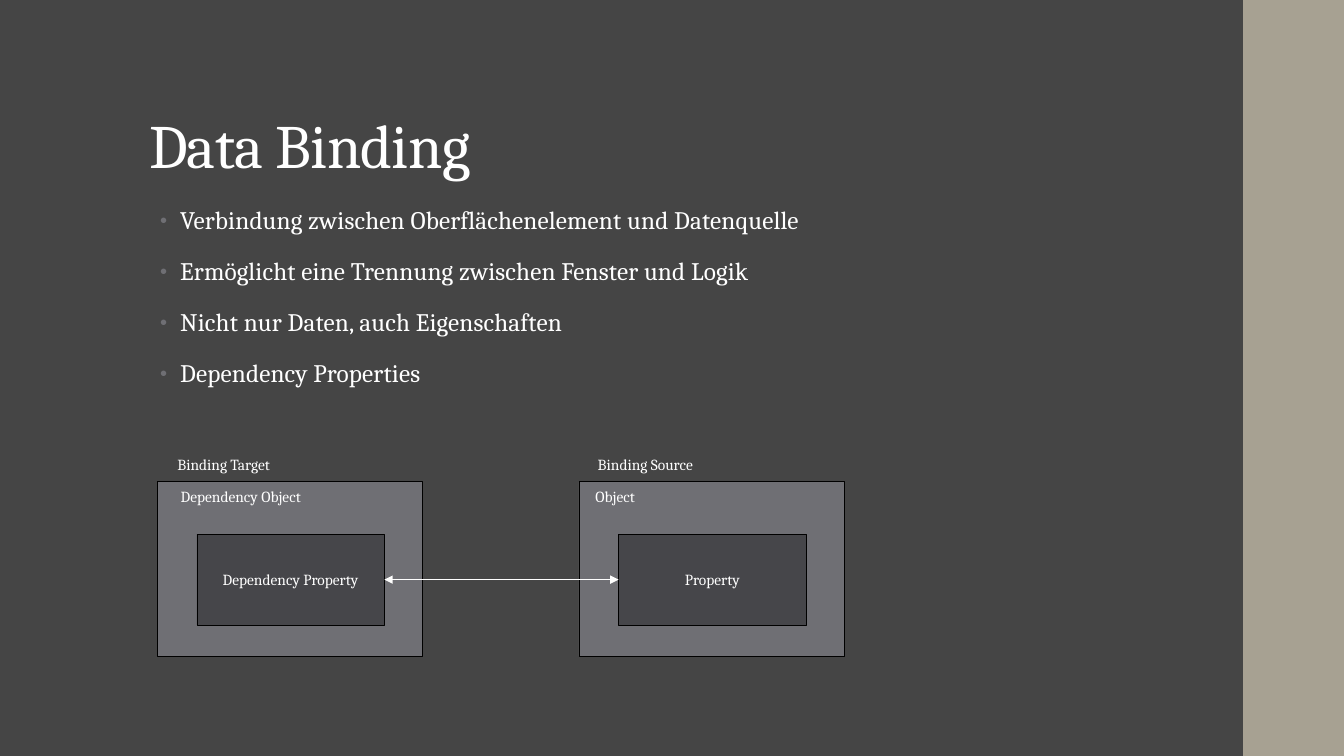
"""Builds a slide on data binding with a diagram of its target and source."""
from lxml import etree
from pptx import Presentation
from pptx.dml.color import RGBColor
from pptx.enum.shapes import MSO_CONNECTOR, MSO_SHAPE
from pptx.enum.text import MSO_ANCHOR, MSO_AUTO_SIZE, PP_ALIGN
from pptx.oxml.ns import qn
from pptx.util import Inches, Pt

RECTANGLE = MSO_SHAPE.RECTANGLE
STRAIGHT = MSO_CONNECTOR.STRAIGHT
LEFT, CENTER = PP_ALIGN.LEFT, PP_ALIGN.CENTER
TOP, MIDDLE, BOTTOM = MSO_ANCHOR.TOP, MSO_ANCHOR.MIDDLE, MSO_ANCHOR.BOTTOM
GROW = MSO_AUTO_SIZE.SHAPE_TO_FIT_TEXT
LEFT_SITE, RIGHT_SITE = 1, 3
COLUMNS, ROWS = 40, 30
COLORS = {
    "background": "454545",
    "stripe": "A7A192",
    "object": "6F6F74",
    "property": "46464A",
    "outline": "000000",
    "text": "FFFFFF",
}


def color(name):
    return RGBColor.from_string(COLORS[name])


def add_xml(parent, tag, **attributes):
    return etree.SubElement(parent, qn(tag), attributes)


class Page:
    """Holds the style and the current slide, measured in columns and rows."""

    font = "Cambria"

    def __init__(self, deck):
        self.slide = deck.slides.add_slide(deck.slide_layouts[6])
        self.column = deck.slide_width / COLUMNS
        self.row = deck.slide_height / ROWS
        fill = self.slide.background.fill
        fill.solid()
        fill.fore_color.rgb = color("background")

    def place(self, left, top, width, height):
        return (round(left * self.column), round(top * self.row),
                round(width * self.column), round(height * self.row))

    def add_span(self, para, text, size, align=LEFT, tracking=0):
        para.alignment = align
        span = para.add_run()
        span.text = text
        span.font.name = self.font
        span.font.size = Pt(size)
        span.font.color.rgb = color("text")
        if tracking:
            span._r.get_or_add_rPr().set("spc", str(tracking))

    def rectangle(self, area, fill, outline=None, text=None):
        box = self.slide.shapes.add_shape(RECTANGLE, *self.place(*area))
        box.shadow.inherit = False
        box.fill.solid()
        box.fill.fore_color.rgb = color(fill)
        if outline:
            box.line.color.rgb = color(outline)
            box.line.width = Pt(0.5)
        else:
            box.line.fill.background()
        if text:
            box.text_frame.vertical_anchor = MIDDLE
            self.add_span(box.text_frame.paragraphs[0], text, 11, CENTER)
        return box

    def text_frame(self, area, anchor=TOP):
        frame = self.slide.shapes.add_textbox(*self.place(*area)).text_frame
        frame.word_wrap = True
        frame.vertical_anchor = anchor
        return frame

    def title(self, area, text):
        para = self.text_frame(area, BOTTOM).paragraphs[0]
        para.line_spacing = 0.9
        self.add_span(para, text, 44, tracking=-50)

    def label(self, area, text):
        frame = self.text_frame(area)
        frame.auto_size = GROW
        self.add_span(frame.paragraphs[0], text, 11, CENTER)

    def bullets(self, area, lines):
        frame = self.text_frame(area)
        for index, line in enumerate(lines):
            para = frame.add_paragraph() if index else frame.paragraphs[0]
            para.line_spacing = 0.95
            para.space_before, para.space_after = Pt(14), Pt(2)
            self.add_span(para, line, 18, tracking=10)
            properties = para._p.get_or_add_pPr()
            properties.set("marL", str(Inches(0.31)))
            properties.set("indent", str(Inches(-0.2)))
            tint = add_xml(properties, "a:buClr")
            add_xml(tint, "a:srgbClr", val=COLORS["object"])
            add_xml(properties, "a:buSzPct", val="80000")
            add_xml(properties, "a:buFont", typeface="Arial")
            add_xml(properties, "a:buChar", char="•")

    def double_arrow(self, start, end):
        arrow = self.slide.shapes.add_connector(STRAIGHT, 0, 0, 0, 0)
        arrow.begin_connect(start, RIGHT_SITE)
        arrow.end_connect(end, LEFT_SITE)
        arrow.line.color.rgb = color("text")
        arrow.line.width = Pt(0.75)
        line = arrow.line._get_or_add_ln()
        for tip in ("a:headEnd", "a:tailEnd"):
            add_xml(line, tip, type="triangle")
        add_xml(arrow._element.spPr, "a:effectLst")

    def binding_side(self, left, role, owner, member, owner_shift=0):
        self.rectangle((left, 19.12, 7.89, 6.92), "object", "outline")
        self.label((left, 17.88, 3.96, 1.16), role)
        self.label((left + owner_shift, 19.12, 4.98, 1.16), owner)
        return self.rectangle((left + 1.18, 21.2, 5.58, 3.6),
                              "property", "outline", member)


def main():
    deck = Presentation()
    deck.slide_width, deck.slide_height = Inches(13.33), Inches(7.5)
    page = Page(deck)
    page.rectangle((37, 0, 3, ROWS), "stripe")
    page.title((4.14, 1.6, 31.8, 5.8), "Data Binding")
    page.bullets((4.14, 8, 28.2, 19.04), [
        "Verbindung zwischen Oberflächenelement und Datenquelle",
        "Ermöglicht eine Trennung zwischen Fenster und Logik",
        "Nicht nur Daten, auch Eigenschaften",
        "Dependency Properties",
    ])
    target = page.binding_side(
        4.68, "Binding Target", "Dependency Object", "Dependency Property")
    source = page.binding_side(
        17.23, "Binding Source", "Object", "Property", owner_shift=-1.41)
    page.double_arrow(target, source)
    deck.save("out.pptx")


main()
